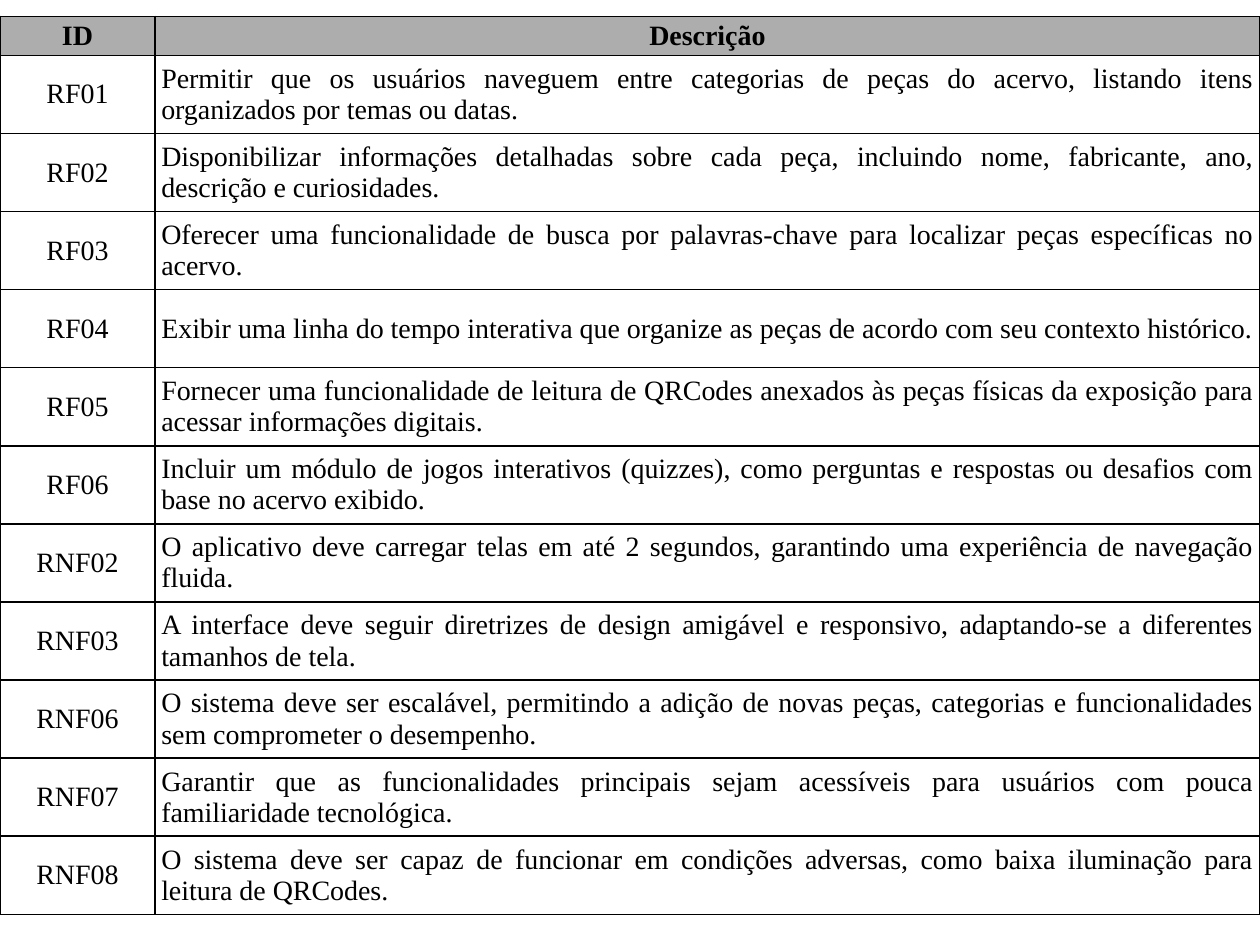
"""Build a slide with a table of functional and non-functional requirements."""
from lxml.etree import SubElement
from pptx import Presentation
from pptx.dml.color import RGBColor
from pptx.enum.text import MSO_ANCHOR, PP_ALIGN
from pptx.oxml.ns import qn
from pptx.util import Inches, Pt

HEADER = ("ID", "Descrição")
REQUIREMENTS = [
    ("RF01", "Permitir que os usuários naveguem entre categorias de peças do acervo, "
             "listando itens organizados por temas ou datas."),
    ("RF02", "Disponibilizar informações detalhadas sobre cada peça, incluindo nome, "
             "fabricante, ano, descrição e curiosidades."),
    ("RF03", "Oferecer uma funcionalidade de busca por palavras-chave para localizar "
             "peças específicas no acervo."),
    ("RF04", "Exibir uma linha do tempo interativa que organize as peças de acordo com "
             "seu contexto histórico."),
    ("RF05", "Fornecer uma funcionalidade de leitura de QRCodes anexados às peças "
             "físicas da exposição para acessar informações digitais."),
    ("RF06", "Incluir um módulo de jogos interativos (quizzes), como perguntas e "
             "respostas ou desafios com base no acervo exibido."),
    ("RNF02", "O aplicativo deve carregar telas em até 2 segundos, garantindo uma "
              "experiência de navegação fluida."),
    ("RNF03", "A interface deve seguir diretrizes de design amigável e responsivo, "
              "adaptando-se a diferentes tamanhos de tela."),
    ("RNF06", "O sistema deve ser escalável, permitindo a adição de novas peças, "
              "categorias e funcionalidades sem comprometer o desempenho."),
    ("RNF07", "Garantir que as funcionalidades principais sejam acessíveis para "
              "usuários com pouca familiaridade tecnológica."),
    ("RNF08", "O sistema deve ser capaz de funcionar em condições adversas, como baixa "
              "iluminação para leitura de QRCodes."),
]

BLACK = RGBColor(0x00, 0x00, 0x00)
WHITE = RGBColor(0xFF, 0xFF, 0xFF)
GRAY = RGBColor(0xAD, 0xAD, 0xAD)
FONT = "Times New Roman"
COLUMN_WIDTHS = (1.23, 8.77)
HEADER_HEIGHT, ROW_HEIGHT = 0.31, 0.62
TABLE_TOP = 0.13


def add_borders(cell):
    """Draw a thin black line on each side of the cell."""
    properties = cell._tc.get_or_add_tcPr()
    for side in ("a:lnL", "a:lnR", "a:lnT", "a:lnB"):
        line = SubElement(properties, qn(side), w=str(Pt(1)))
        fill = SubElement(line, qn("a:solidFill"))
        SubElement(fill, qn("a:srgbClr"), val=str(BLACK))


def fill_cell(cell, text, alignment, is_header):
    """Format one cell and write its text."""
    add_borders(cell)
    cell.fill.solid()
    cell.fill.fore_color.rgb = GRAY if is_header else WHITE
    cell.vertical_anchor = MSO_ANCHOR.MIDDLE
    cell.margin_left = cell.margin_right = Inches(0.05)
    cell.margin_top = cell.margin_bottom = 0
    paragraph = cell.text_frame.paragraphs[0]
    paragraph.alignment = alignment
    run = paragraph.add_run()
    run.text = text
    run.font.name = FONT
    run.font.size = Pt(16)
    run.font.bold = is_header
    run.font.color.rgb = BLACK


def add_requirements_table(slide):
    """Add the table with its header and one row for each requirement."""
    rows = [HEADER, *REQUIREMENTS]
    height = HEADER_HEIGHT + ROW_HEIGHT * len(REQUIREMENTS)
    table = slide.shapes.add_table(
        len(rows), len(COLUMN_WIDTHS), 0, Inches(TABLE_TOP),
        Inches(sum(COLUMN_WIDTHS)), Inches(height)).table
    table.horz_banding = False
    for column, width in zip(table.columns, COLUMN_WIDTHS):
        column.width = Inches(width)
    for row_index, texts in enumerate(rows):
        is_header = row_index == 0
        table.rows[row_index].height = Inches(HEADER_HEIGHT if is_header else ROW_HEIGHT)
        for column_index, text in enumerate(texts):
            centered = is_header or column_index == 0
            alignment = PP_ALIGN.CENTER if centered else PP_ALIGN.JUSTIFY
            fill_cell(table.cell(row_index, column_index), text, alignment, is_header)


def main():
    """Create and save the presentation."""
    presentation = Presentation()
    presentation.slide_width = Inches(10)
    presentation.slide_height = Inches(7.5)
    slide = presentation.slides.add_slide(presentation.slide_layouts[6])
    add_requirements_table(slide)
    presentation.save("out.pptx")


if __name__ == "__main__":
    main()
